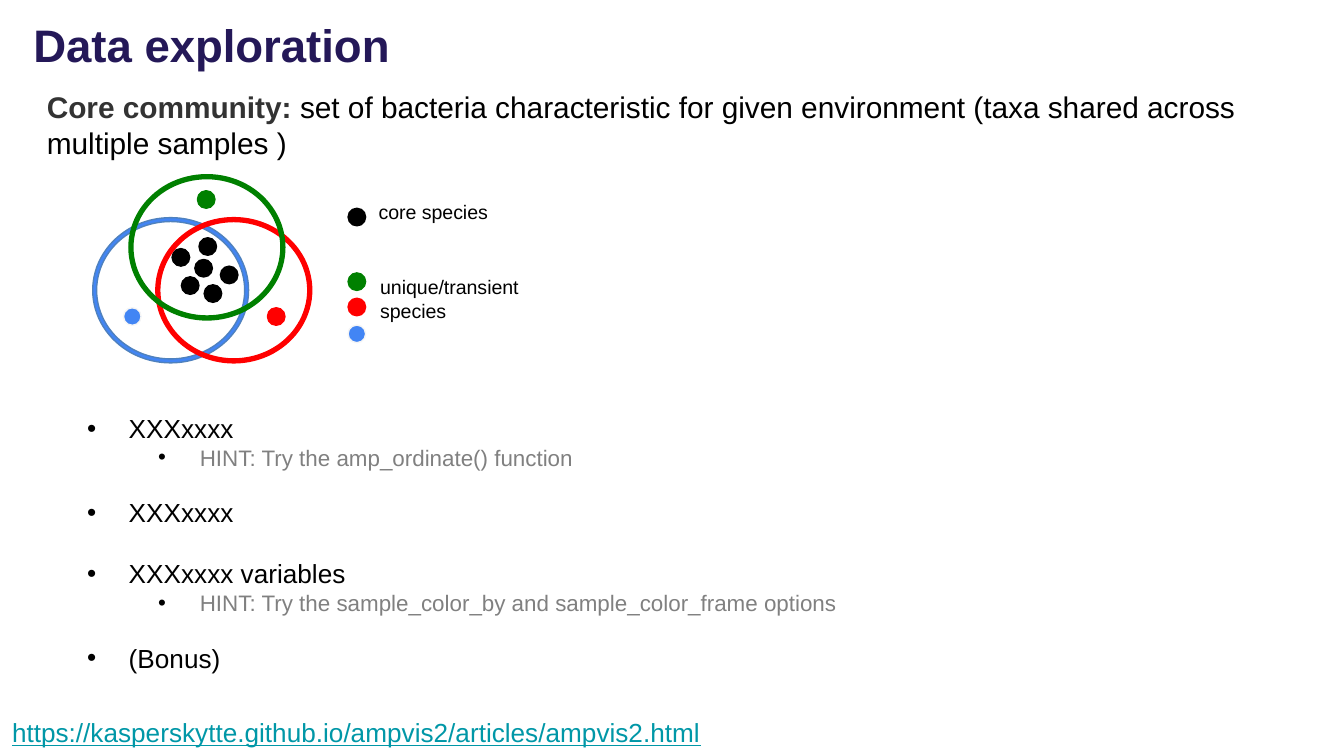
from pptx import Presentation
from pptx.dml.color import RGBColor
from pptx.enum import shapes, text
from pptx.oxml import parse_xml
from pptx.oxml.ns import nsdecls
from pptx.util import Pt

HUES = {
    "navy": "241858", "teal": "0097A7", "dark": "333333", "black": "000000",
    "grey": "808080", "green": "008000", "red": "FF0000", "blue": "4285F4",
    "pale": "F5F5F5", "steel": "4F81BD",
}
TITLE = ("Data exploration", 24.4, "navy", "bold")
LINK = ("https://kasperskytte.github.io/ampvis2/articles/ampvis2.html",
        14, "teal", "under")
INTRO = [
    ("Core community: ", 16, "dark", "bold"),
    ("set of bacteria characteristic for given environment "
     "(taxa shared across multiple samples )", 16, "black", ""),
]
# level, space before, wording
TASKS = [
    (0, 0, "XXXxxxx"),
    (1, 0, "HINT: Try the amp_ordinate() function"),
    (0, 13.8, "XXXxxxx"),
    (0, 16.1, "XXXxxxx variables"),
    (1, 0, "HINT: Try the sample_color_by and sample_color_frame options"),
    (0, 13.8, "(Bonus)"),
]
# size, colour, left margin of each level
LEVELS = [(14, "black", 31.7), (12, "grey", 69.8)]
HANG = 22.3

# left, top
CORE = [(92.2, 133.2), (97.2, 148.3), (104.4, 139), (106.6, 127.4),
        (118.1, 142.6), (109.4, 152.6)]
UNIQUE = [(105.8, 102.2, "green"), (143.3, 164.9, "red"), (66.2, 164.9, "blue")]
RINGS = [(49.7, 116.6, "blue", "steel"), (83.5, 116.6, "red", "red"),
         (69.1, 93.6, "green", "green")]
KEY_X = 186.5
KEY = [(111.6, "black"), (146.2, "green"), (159.8, "red"), (174.2, "blue")]
# left, top, width, height, wording, line spacing
LABELS = [(195.8, 100.8, 96.5, 20.9, "core species", 1.2),
          (196.6, 144, 122.4, 32.4, "unique/transient species", 1.0)]
DOT = 9.4
RING = (83.5, 77.8)

deck = Presentation()
deck.slide_width, deck.slide_height = Pt(720), Pt(405)
slide = deck.slides.add_slide(deck.slide_layouts[6])


def hue(name):
    return RGBColor.from_string(HUES[name])


def box(left, top, width, height):
    """Add a wrapping text box and return its text frame."""
    frame = slide.shapes.add_textbox(
        Pt(left), Pt(top), Pt(width), Pt(height)).text_frame
    frame.word_wrap = True
    return frame


def write(para, words, size, tint, style=""):
    run = para.add_run()
    run.text = words
    font = run.font
    font.name, font.size = "Arial", Pt(size)
    font.bold, font.underline = style == "bold", style == "under"
    font.color.rgb = hue(tint)


def round_shape(kind, left, top, size, fill, edge):
    shape = slide.shapes.add_shape(
        kind, Pt(left), Pt(top), Pt(size[0]), Pt(size[1]))
    shape.shadow.inherit = False
    shape.fill.solid()
    shape.fill.fore_color.rgb = hue(fill)
    shape.line.color.rgb = hue(edge)
    shape.line.width = Pt(0.75)
    return shape


def dot(left, top, fill):
    edge = "pale" if fill == "blue" else fill
    round_shape(shapes.MSO_SHAPE.OVAL, left, top, (DOT, DOT), fill, edge)


def bullet(para, margin):
    props = para._p.get_or_add_pPr()
    props.set("marL", str(Pt(margin)))
    props.set("indent", str(-Pt(HANG)))
    for body in (f'<a:buClr {nsdecls("a")}><a:srgbClr val="{HUES["black"]}"/></a:buClr>',
                 f'<a:buFont {nsdecls("a")} typeface="Arial"/>',
                 f'<a:buChar {nsdecls("a")} char="•"/>'):
        props.append(parse_xml(body))


head = box(10.8, 0, 671, 45.4)
head.vertical_anchor = text.MSO_ANCHOR.BOTTOM
head.margin_top = head.margin_bottom = Pt(7.2)
write(head.paragraphs[0], *TITLE)

foot = box(-9, 380.2, 400, 24.5).paragraphs[0]
foot.alignment = text.PP_ALIGN.CENTER
write(foot, *LINK)

intro = box(18, 43.9, 697, 131).paragraphs[0]
for part in INTRO:
    write(intro, *part)

tasks = box(30.2, 217.4, 633, 150.5)
for i, (level, gap, words) in enumerate(TASKS):
    para = tasks.add_paragraph() if i else tasks.paragraphs[0]
    size, tint, margin = LEVELS[level]
    para.level = level
    if gap:
        para.space_before = Pt(gap)
    bullet(para, margin)
    write(para, words, size, tint)

for left, top in CORE:
    dot(left, top, "black")
for spot in UNIQUE:
    dot(*spot)
for left, top, fill, edge in RINGS:
    ring = round_shape(shapes.MSO_SHAPE.DONUT, left, top, RING, fill, edge)
    ring.adjustments[0] = 0.027
for top, fill in KEY:
    dot(KEY_X, top, fill)
for left, top, width, height, words, pitch in LABELS:
    para = box(left, top, width, height).paragraphs[0]
    para.line_spacing = pitch
    write(para, words, 10.5, "black")

deck.save("out.pptx")
